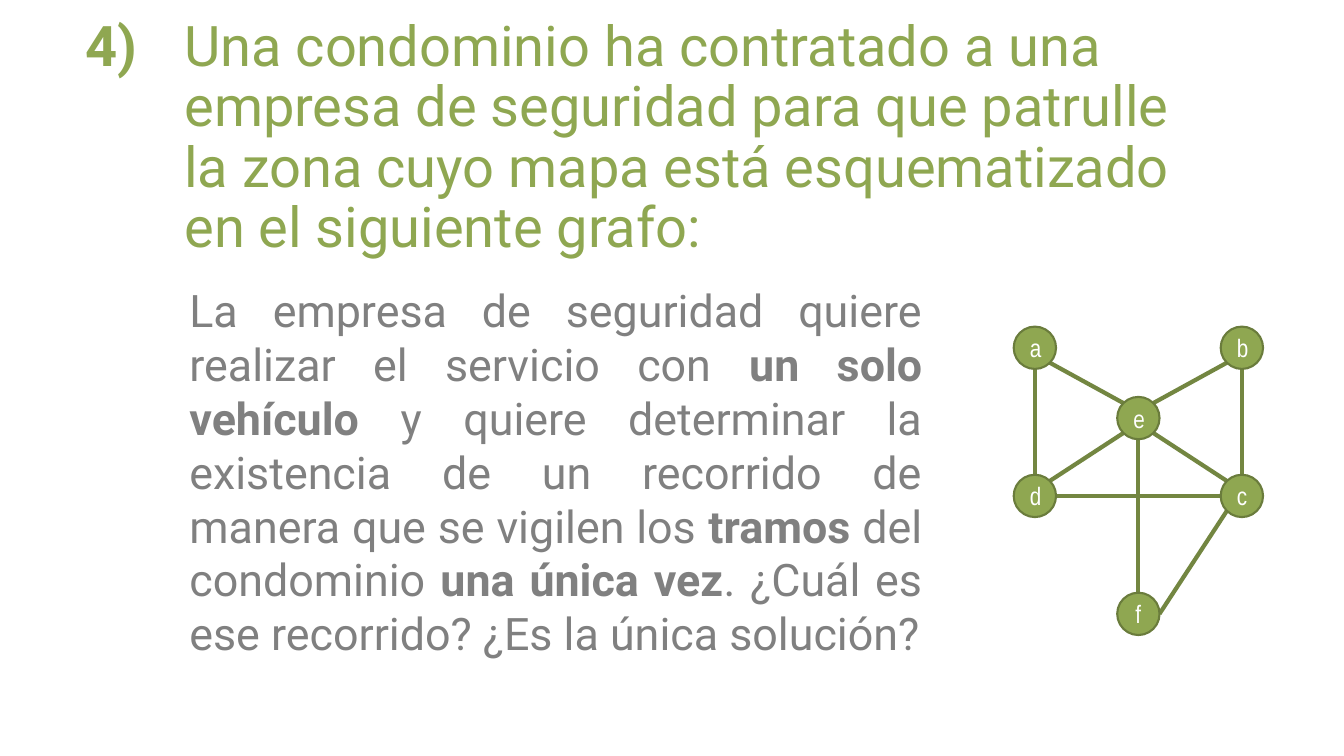
import math
import pptx
import pptx.util
import pptx.dml.color
import pptx.enum.shapes
import pptx.enum.text
import pptx.oxml.ns
import lxml.etree

MSO = pptx.enum.text
GREEN, RIM, EDGE, GREY, WHITE = "8FA751", "6A7C3C", "738641", "808080", "FFFFFF"


def rgb(value):
    return pptx.dml.color.RGBColor.from_string(value)


def add_text(p, text, size=32, color=GREY, bold=False, font="Roboto"):
    r = p.add_run()
    r.text = text
    r.font.size = pptx.util.Pt(size)
    r.font.name = font
    r.font.bold = bold
    r.font.color.rgb = rgb(color)
    return r


def set_indent(p, left, first=0):
    pPr = p._p.get_or_add_pPr()
    pPr.set("marL", str(pptx.util.Inches(left)))
    pPr.set("indent", str(pptx.util.Inches(first)))


class Deck:
    """One slide on a grid of 100 columns by 100 rows."""
    RADIUS = pptx.util.Inches(0.21)

    def __init__(self):
        self.prs = pptx.Presentation()
        self.prs.slide_width = pptx.util.Inches(13.333)
        self.prs.slide_height = pptx.util.Inches(7.5)
        self.s = self.prs.slides.add_slide(self.prs.slide_layouts[5])

    def x(self, cols):
        return round(self.prs.slide_width * cols / 100)

    def y(self, rows):
        return round(self.prs.slide_height * rows / 100)

    def box(self, left, top, width, height):
        return self.x(left), self.y(top), self.x(width), self.y(height)

    def title(self, box, number, text):
        sp = self.s.shapes.title
        sp.left, sp.top, sp.width, sp.height = self.box(*box)
        tf = sp.text_frame
        tf.auto_size = MSO.MSO_AUTO_SIZE.NONE
        tf.vertical_anchor = MSO.MSO_ANCHOR.MIDDLE
        p = tf.paragraphs[0]
        p.alignment = MSO.PP_ALIGN.LEFT
        p.line_spacing = 0.9
        set_indent(p, 0.98, -0.98)
        add_text(p, number, size=40, color=GREEN, bold=True)
        add_text(p, "\t" + text, size=40, color=GREEN)

    def body(self, box, runs):
        tf = self.s.shapes.add_textbox(*self.box(*box)).text_frame
        tf.word_wrap = True
        p = tf.paragraphs[0]
        p.alignment = MSO.PP_ALIGN.JUSTIFY
        set_indent(p, 0.25)
        for text, bold in runs:
            add_text(p, text, bold=bold)

    def rim_point(self, center, angle):
        a = math.radians(angle)
        return (self.x(center[0]) + round(self.RADIUS * math.cos(a)),
                self.y(center[1]) - round(self.RADIUS * math.sin(a)))

    def edge(self, start, start_angle, end, end_angle):
        sp = self.s.shapes.add_connector(
            pptx.enum.shapes.MSO_CONNECTOR.STRAIGHT,
            *self.rim_point(start, start_angle), *self.rim_point(end, end_angle))
        sp.line.color.rgb = rgb(EDGE)
        sp.line.width = pptx.util.Pt(3)
        lxml.etree.SubElement(sp._element.spPr, pptx.oxml.ns.qn("a:effectLst"))

    def node(self, center, label):
        size = 2 * self.RADIUS
        sp = self.s.shapes.add_shape(
            pptx.enum.shapes.MSO_SHAPE.OVAL, self.x(center[0]) - self.RADIUS,
            self.y(center[1]) - self.RADIUS, size, size)
        sp.shadow.inherit = False
        sp.fill.solid()
        sp.fill.fore_color.rgb = rgb(GREEN)
        sp.line.color.rgb = rgb(RIM)
        sp.line.width = pptx.util.Pt(1.5)
        tf = sp.text_frame
        tf.vertical_anchor = MSO.MSO_ANCHOR.MIDDLE
        p = tf.paragraphs[0]
        p.alignment = MSO.PP_ALIGN.CENTER
        add_text(p, label, size=18, color=WHITE, font="Arial Narrow")


# Graph: node centres, and edges with the angle where each leaves and arrives
LEFT, MIDDLE, RIGHT = (77 + 7.7 * i for i in range(3))
NODES = {"a": (LEFT, 46), "b": (RIGHT, 46), "e": (MIDDLE, 55.3),
         "d": (LEFT, 65.6), "c": (RIGHT, 65.6), "f": (MIDDLE, 81.2)}
EDGES = [("a", 270, "d", 90), ("b", 270, "c", 90), ("d", 0, "c", 180),
         ("a", 315, "e", 135), ("b", 225, "e", 45), ("d", 45, "e", 225),
         ("c", 135, "e", 315), ("e", 270, "f", 90), ("f", 0, "c", 225)]


def main():
    deck = Deck()

    # Question
    deck.title((5.62, 10, 86.25, 16.8), "4)",
               "Una condominio ha contratado a una empresa de seguridad para que "
               "patrulle la zona cuyo mapa está esquematizado en el siguiente grafo:")
    deck.body((11.48, 36.8, 57.9, 51.6), [
        ("La empresa de seguridad quiere realizar el servicio con ", False),
        ("un solo vehículo ", True),
        ("y quiere determinar la existencia de un recorrido de manera que se "
         "vigilen los ", False),
        ("tramos", True),
        (" del condominio ", False),
        ("una única vez", True),
        (". ¿Cuál es ese recorrido? ¿Es la única solución?", False)])

    # Graph
    for start, start_angle, end, end_angle in EDGES:
        deck.edge(NODES[start], start_angle, NODES[end], end_angle)
    for label, center in NODES.items():
        deck.node(center, label)

    deck.prs.save("out.pptx")


if __name__ == "__main__":
    main()
